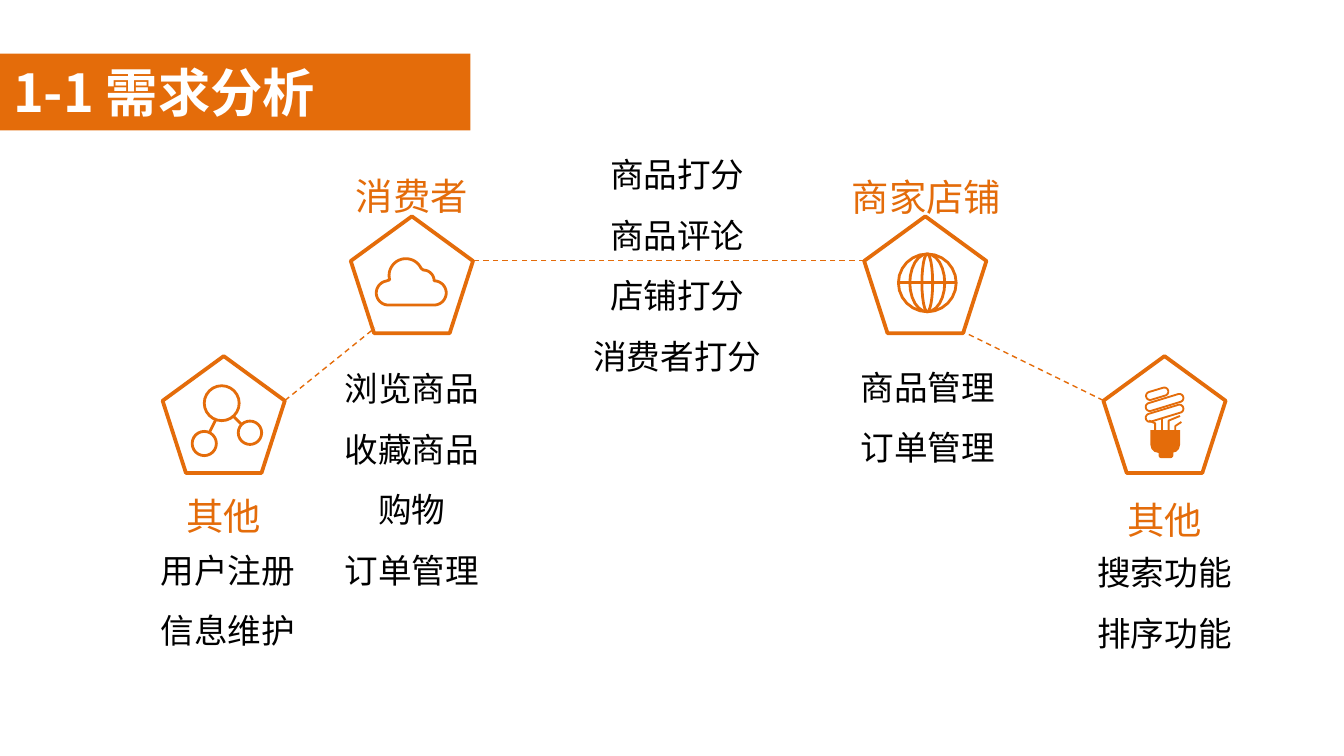
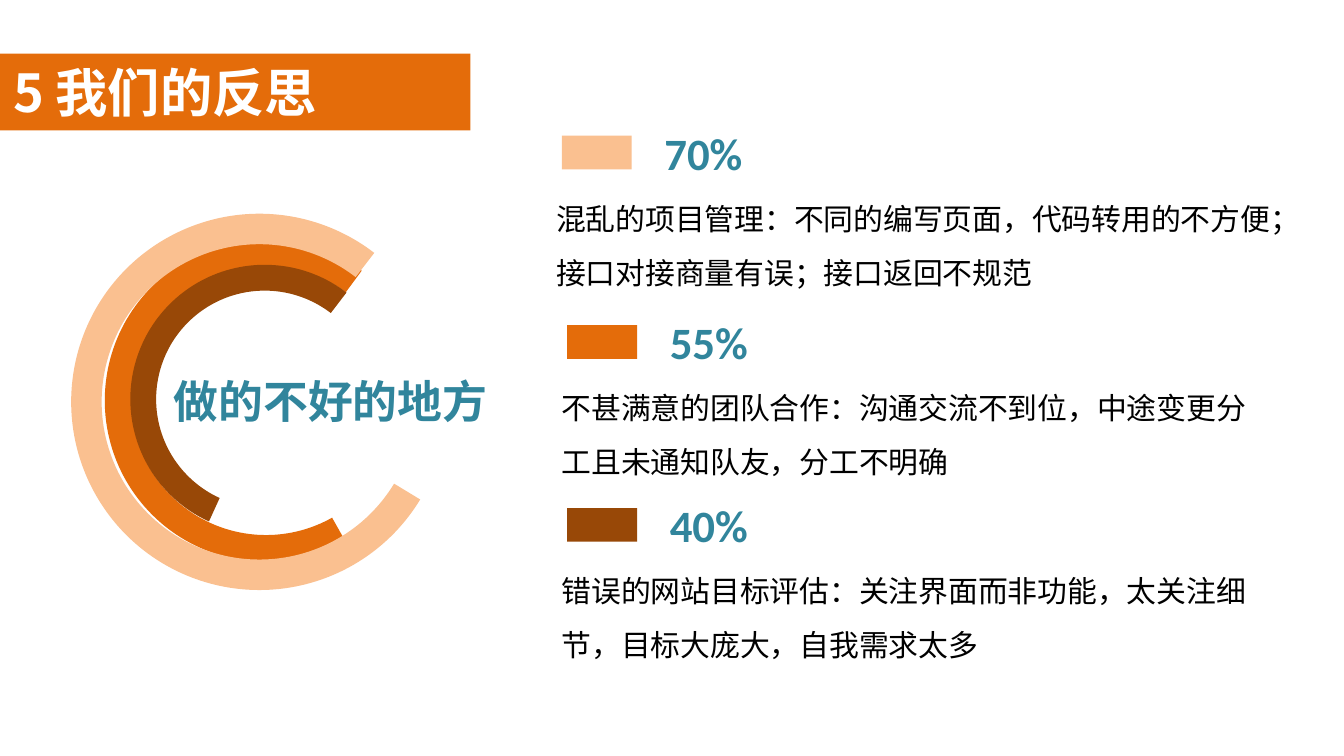
from math import cos, radians, sin

from lxml.etree import SubElement
from pptx import Presentation
from pptx.dml.color import RGBColor
from pptx.enum.dml import MSO_LINE
from pptx.enum.shapes import MSO_CONNECTOR, MSO_SHAPE
from pptx.enum.text import MSO_AUTO_SIZE, PP_ALIGN
from pptx.oxml.ns import qn
from pptx.util import Inches, Pt

COLUMNS, ROWS = 100, 56.25
CJK, LATIN = "Noto Sans CJK SC", "Calibri"
ORANGE, BROWN, PEACH = "E46C0A", "984807", "FAC090"
TEAL, BLACK, WHITE = "31859C", "000000", "FFFFFF"
PENTAGON_WIDTH, PENTAGON_HEIGHT = 9.1, 8.7


def color(hex_string):
    return RGBColor.from_string(hex_string)


def grid(cells):
    """Turn grid cells (a tenth of an inch each) into a length."""
    return Inches(cells / 10)


def arc(x, y, across, down, start=0, end=360, steps=24):
    """Points along an ellipse, angles in degrees, clockwise from the right."""
    angles = [radians(start + (end - start) * i / steps) for i in range(steps + 1)]
    return [(x + across * cos(a), y + down * sin(a)) for a in angles]


def pill(x, y, half_length, radius, tilt):
    """Closed contour of a tilted bar with round ends."""
    shift_x = half_length * cos(radians(tilt))
    shift_y = half_length * sin(radians(tilt))
    points = (arc(x + shift_x, y + shift_y, radius, radius, tilt - 90, tilt + 90)
              + arc(x - shift_x, y - shift_y, radius, radius, tilt + 90, tilt + 270))
    return points + points[:1]


class Painter:
    """Holds the deck's style and the page being drawn."""

    def __init__(self):
        self.deck = Presentation()
        self.deck.slide_width, self.deck.slide_height = grid(COLUMNS), grid(ROWS)
        self.page = None

    def new_page(self, title):
        self.page = self.deck.slides.add_slide(self.deck.slide_layouts[6])
        self.shape(MSO_SHAPE.RECTANGLE, 0, 4, 35, 5.7, fill=ORANGE)
        self.text(0, 4, 35, 5.7, [title], size=28, hue=WHITE, bold=True)

    def paint(self, shape, fill, line, width):
        if fill:
            shape.fill.solid()
            shape.fill.fore_color.rgb = color(fill)
        else:
            shape.fill.background()
        if line:
            shape.line.color.rgb = color(line)
            shape.line.width = Pt(width)
        else:
            shape.line.fill.background()
        shape.shadow.inherit = False

    def shape(self, kind, left, top, width, height, fill=None, line=None,
              weight=1.5, rotation=0, adjust=()):
        shape = self.page.shapes.add_shape(
            kind, grid(left), grid(top), grid(width), grid(height))
        shape.rotation = rotation
        for index, value in enumerate(adjust):
            shape.adjustments[index] = value
        self.paint(shape, fill, line, weight)

    def outline(self, x, y, contours, weight=1.5):
        """Draw contours, given relative to (x, y), as one unfilled outline."""
        builder = None
        for contour in contours:
            start, *rest = [(grid(x + across), grid(y + down))
                            for across, down in contour]
            if builder is None:
                builder = self.page.shapes.build_freeform(*start, scale=1.0)
            else:
                builder.move_to(*start)
            builder.add_line_segments(rest, close=False)
        self.paint(builder.convert_to_shape(), None, ORANGE, weight)

    def dashed_line(self, start, end):
        line = self.page.shapes.add_connector(
            MSO_CONNECTOR.STRAIGHT, *map(grid, start + end))
        line.line.color.rgb = color(ORANGE)
        line.line.width = Pt(0.75)
        line.line.dash_style = MSO_LINE.DASH
        SubElement(line._element.spPr, qn("a:effectLst"))

    def span(self, para, words, size=18, hue=BLACK, bold=False, font=CJK):
        span = para.add_run()
        span.text = words
        span.font.size, span.font.bold, span.font.name = Pt(size), bold, font
        span.font.color.rgb = color(hue)
        SubElement(span._r.get_or_add_rPr(), qn("a:ea")).set("typeface", font)

    def text(self, left, top, width, height, lines, align=PP_ALIGN.LEFT,
             leading=1.0, **style):
        """Write one paragraph per line."""
        box = self.page.shapes.add_textbox(
            grid(left), grid(top), grid(width), grid(height))
        frame = box.text_frame
        frame.word_wrap = True
        frame.auto_size = MSO_AUTO_SIZE.SHAPE_TO_FIT_TEXT
        for index, words in enumerate(lines):
            para = frame.add_paragraph() if index else frame.paragraphs[0]
            para.alignment, para.line_spacing = align, leading
            self.span(para, words, **style)

    def centered(self, x, top, lines, height, width=21.3, **style):
        self.text(x - width / 2, top, width, height, lines,
                  align=PP_ALIGN.CENTER, leading=1.5, **style)


def draw_network(painter, x, y):
    nodes = ((4.4, 3.5, 1.3), (3.1, 6.5, 0.9), (6.5, 5.7, 0.87))
    links = [((3.95, 4.75), (3.5, 5.65)), ((5.3, 4.5), (5.9, 5.1))]
    painter.outline(x, y, [arc(across, down, radius, radius)
                           for across, down, radius in nodes] + links)


def draw_cloud(painter, x, y):
    lobes = ((2.8, 5.7, 0.9, 90, 260), (4.1, 4.4, 1.25, 165, 335),
             (5.4, 4.8, 0.8, 270, 360), (6.2, 5.7, 0.9, 270, 450))
    edge = [point for across, down, radius, start, end in lobes
            for point in arc(across, down, radius, radius, start, end)]
    painter.outline(x, y, [edge + edge[:1]])


def draw_globe(painter, x, y):
    center, middle, radius = 4.7, 4.95, 2.15
    meridians = [arc(center, middle, across, radius) for across in (radius, 1.3, 0.4)]
    equator = ((center - radius, middle), (center + radius, middle))
    painter.outline(x, y, meridians + [equator])


def draw_bulb(painter, x, y):
    coils = [pill(across, down, half_length, 0.3, -17) for across, down, half_length
             in ((4.0, 2.8, 0.55), (4.55, 3.45, 1.15), (4.55, 4.25, 1.15))]
    stems = [((3.4, 4.8), (3.85, 5.0), (3.85, 5.5)),
             ((4.35, 4.7), (4.35, 5.5)),
             ((5.7, 4.45), (4.85, 4.8), (4.85, 5.5)),
             ((5.8, 4.9), (5.35, 5.2), (5.35, 5.5))]
    painter.outline(x, y, coils + stems, weight=1)
    for across, down, width, height in ((3.5, 5.5, 2.2, 1.7), (4.1, 7, 1.1, 0.6)):
        painter.shape(MSO_SHAPE.ROUND_2_SAME_RECTANGLE, x + across, y + down,
                      width, height, fill=ORANGE, adjust=[0, 0.35])


def requirements_page(painter):
    painter.new_page("1-1 需求分析")
    # left, top, icon, role, role center, role top, tasks center, tasks top, tasks
    roles = (
        (12.1, 26.5, draw_network, "其他", 16.65, 34.5, 16.95, 38.9,
         ["用户注册", "信息维护"]),
        (82.1, 26.5, draw_bulb, "其他", 86.65, 34.8, 86.65, 39.1,
         ["搜索功能", "排序功能"]),
        (64.3, 16.1, draw_globe, "商家店铺", 68.95, 10.8, 69.05, 25.3,
         ["商品管理", "订单管理"]),
        (26.1, 16.1, draw_cloud, "消费者", 30.65, 10.7, 30.65, 25.4,
         ["浏览商品", "收藏商品", "购物", "订单管理"]),
    )
    for (left, top, icon, role, role_center, role_top,
         tasks_center, tasks_top, tasks) in roles:
        painter.shape(MSO_SHAPE.REGULAR_PENTAGON, left, top, PENTAGON_WIDTH,
                      PENTAGON_HEIGHT, line=ORANGE, weight=2)
        icon(painter, left, top)
        painter.centered(role_center, role_top, [role], 5.5, size=20, hue=ORANGE)
        painter.centered(tasks_center, tasks_top, tasks, 0.5 + 4.55 * len(tasks))
    painter.centered(50.4, 9.5, ["商品打分", "商品评论", "店铺打分", "消费者打分"], 18.7)
    for start, end in (((21.2, 29.8), (27.9, 24.4)), ((64.3, 19.4), (35.1, 19.4)),
                       ((82.1, 29.8), (71.7, 24.7))):
        painter.dashed_line(start, end)


def reflection_page(painter):
    painter.new_page("5 我们的反思")
    # left, top, size, rotation, adjustments, color
    rings = ((7.8, 17.8, 24, 270, (90.35, 21.83, 0.083), ORANGE),
             (9.7, 19.7, 20, 273.8, (120.43, 20.21, 0.096), BROWN),
             (5.3, 15.9, 28, 270, (72.75, 22.59, 0.081), PEACH))
    for left, top, size, rotation, adjust, hue in rings:
        painter.shape(MSO_SHAPE.BLOCK_ARC, left, top, size, size, fill=hue,
                      rotation=rotation, adjust=adjust)
    painter.text(11.95, 27.3, 25.6, 5, ["做的不好的地方"], size=24, hue=TEAL, bold=True)
    problems = (
        (41.8, 10.1, 55.4, PEACH, "70%",
         "混乱的项目管理：不同的编写页面，代码转用的不方便；接口对接商量有误；接口返回不规范"),
        (42.2, 24.2, 55, ORANGE, "55%",
         "不甚满意的团队合作：沟通交流不到位，中途变更分工且未通知队友，分工不明确"),
        (42.2, 37.8, 55, BROWN, "40%",
         "错误的网站目标评估：关注界面而非功能，太关注细节，目标大庞大，自我需求太多"),
    )
    for left, top, width, hue, share, problem in problems:
        painter.shape(MSO_SHAPE.RECTANGLE, left, top, 5.2, 2.5, fill=hue)
        painter.text(left - 1.4, top + 3, width, 9.1, [problem], leading=1.5, size=16)
        painter.text(left + 6.65, top - 1.25, 29.2, 5, [share], size=24, hue=TEAL,
                     bold=True, font=LATIN)


def main():
    painter = Painter()
    requirements_page(painter)
    reflection_page(painter)
    painter.deck.save("out.pptx")


if __name__ == "__main__":
    main()
